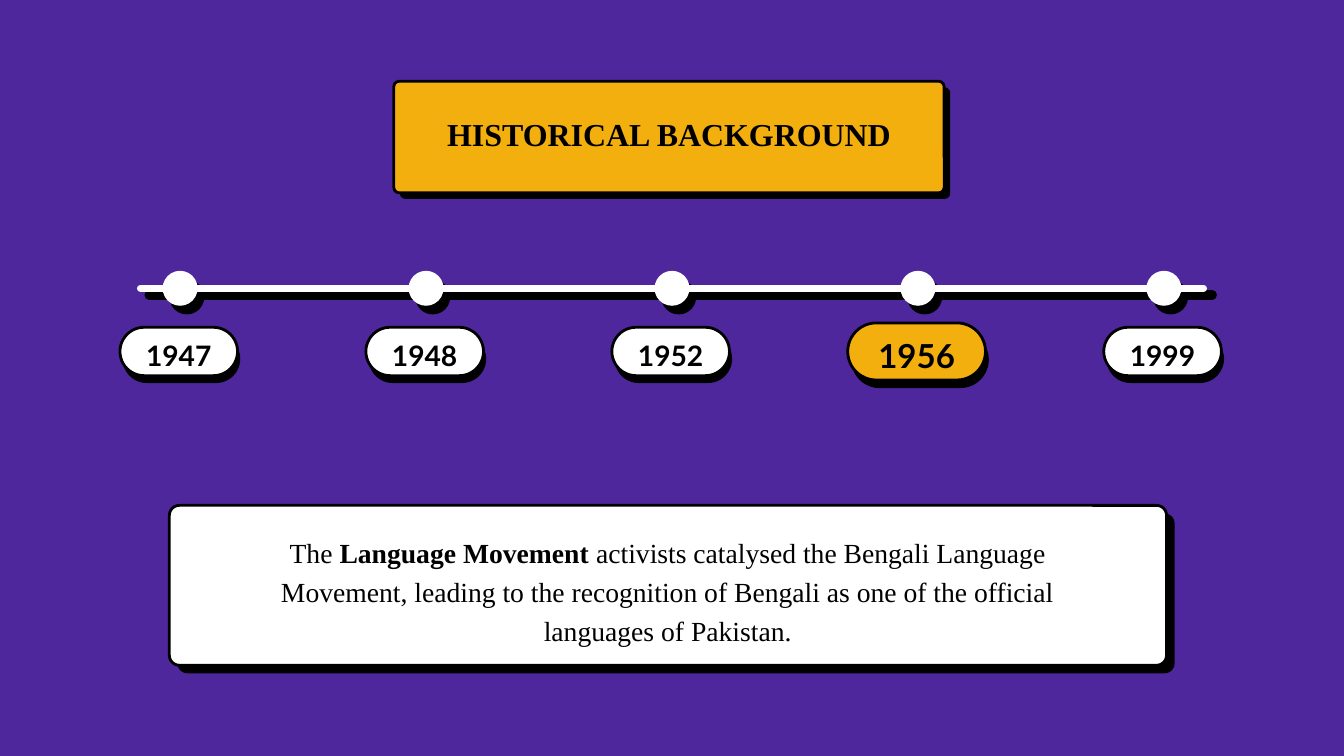
from dataclasses import dataclass

import lxml.etree
import pptx
import pptx.dml.color
import pptx.enum.shapes
import pptx.enum.text
import pptx.oxml.ns
import pptx.util

COLS, ROWS = 200, 112.5
SHAPE = pptx.enum.shapes.MSO_SHAPE
PURPLE, GOLD, WHITE, BLACK = "4F279D", "F3AF0E", "FFFFFF", "000000"

prs = pptx.Presentation()
prs.slide_width = pptx.util.Inches(20)
prs.slide_height = pptx.util.Inches(11.25)
s = prs.slides.add_slide(prs.slide_layouts[6])


@dataclass
class Box:
    left: float
    top: float
    width: float
    height: float

    def moved(self, dx: float, dy: float) -> "Box":
        return Box(self.left + dx, self.top + dy, self.width, self.height)

    def inset(self, dx: float, dy: float, height: float) -> "Box":
        return Box(self.left + dx, self.top + dy, self.width - 2 * dx, height)

    def emu(self) -> list[int]:
        return [col(self.left), row(self.top), col(self.width), row(self.height)]


@dataclass
class Label:
    runs: list[tuple[str, bool]]
    font: str
    size: float
    spacing: float


@dataclass
class Panel:
    box: Box
    fill: str
    radius: float
    shadow: tuple[float, float]
    text_box: Box
    label: Label


def col(n: float) -> int:
    return round(prs.slide_width * n / COLS)


def row(n: float) -> int:
    return round(prs.slide_height * n / ROWS)


def paint(fmt, color: str) -> None:
    fmt.solid()
    fmt.fore_color.rgb = pptx.dml.color.RGBColor.from_string(color)


def add_shape(kind, box: Box, color: str, radius: float = 0, outlined: bool = False) -> None:
    sp = s.shapes.add_shape(kind, *box.emu())
    sp.shadow.inherit = False
    paint(sp.fill, color)
    if radius:
        sp.adjustments[0] = radius / box.height
    if outlined:
        paint(sp.line.fill, BLACK)
        sp.line.width = pptx.util.Pt(3)
    else:
        sp.line.fill.background()


def add_line(left: float, right: float, y: float, color: str, width: float) -> None:
    sp = s.shapes.add_connector(
        pptx.enum.shapes.MSO_CONNECTOR.STRAIGHT, col(left), row(y), col(right), row(y)
    )
    paint(sp.line.fill, color)
    sp.line.width = pptx.util.Pt(width)
    sp.line._get_or_add_ln().set("cap", "rnd")
    lxml.etree.SubElement(sp._element.spPr, pptx.oxml.ns.qn("a:effectLst"))


def add_label(box: Box, label: Label) -> None:
    tf = s.shapes.add_textbox(*box.emu()).text_frame
    tf.word_wrap = True
    tf.margin_left = tf.margin_top = tf.margin_right = tf.margin_bottom = 0
    p = tf.paragraphs[0]
    p.alignment = pptx.enum.text.PP_ALIGN.CENTER
    p.line_spacing = pptx.util.Pt(label.spacing)
    for text, bold in label.runs:
        r = p.add_run()
        r.text = text
        r.font.name = label.font
        r.font.size = pptx.util.Pt(label.size)
        r.font.bold = bold
        paint(r.font.fill, BLACK)


def add_panel(panel: Panel) -> None:
    kind = SHAPE.ROUNDED_RECTANGLE
    add_shape(kind, panel.box.moved(*panel.shadow), BLACK, panel.radius)
    add_shape(kind, panel.box, panel.fill, panel.radius, outlined=True)
    add_label(panel.text_box, panel.label)


def year_panel(year: str, center: float, current: bool) -> Panel:
    width, height = (20.5, 8.5) if current else (17.5, 7.2)
    box = Box(center - width / 2, 52.3 - height / 2, width, height)
    if current:
        return Panel(box, GOLD, height / 2, (0.5, 1.2), box.inset(1.5, 1.9, 6),
                     Label([(year, True)], "Lato", 35.4, 42.5))
    return Panel(box, WHITE, height / 2, (0.4, 1.1), box.inset(1.2, 1.7, 5.1),
                 Label([(year, True)], "Lato", 30.2, 36.2))


YEARS = ["1947", "1948", "1952", "1956", "1999"]
CURRENT = "1956"
FIRST, STEP, DOT = 26.8, 36.6, 5.2
centers = [FIRST + STEP * i for i in range(len(YEARS))]
dots = [Box(x - DOT / 2, 40.3, DOT, DOT) for x in centers]

paint(s.background.fill, PURPLE)

add_line(22.2, 180.4, 43.9, BLACK, 10)
for dot in dots:
    add_shape(SHAPE.OVAL, dot.moved(1, 1.3), BLACK)
add_line(20.9, 179.1, 42.9, WHITE, 7.5)
for dot in dots:
    add_shape(SHAPE.OVAL, dot, WHITE)

for year, center in zip(YEARS, centers):
    add_panel(year_panel(year, center - 0.2, year == CURRENT))

summary = Box(25.2, 75.2, 148.4, 23.8)
add_panel(Panel(summary, WHITE, 1.5, (1.2, 1.2), summary.inset(9.9, 3.8, 17.3), Label([
    ("The ", False),
    ("Language Movement", True),
    (" activists catalysed the Bengali Language Movement, leading to the recognition "
     "of Bengali as one of the official languages of Pakistan.", False),
], "Times New Roman", 29.6, 41.4)))

title = Box(58.6, 12.1, 81.9, 16.6)
add_panel(Panel(title, GOLD, 0.8, (0.9, 0.9), title.inset(5, 6, 4.8),
                Label([("HISTORICAL BACKGROUND", True)], "Times New Roman", 34.2, 33.9)))

prs.save("out.pptx")
